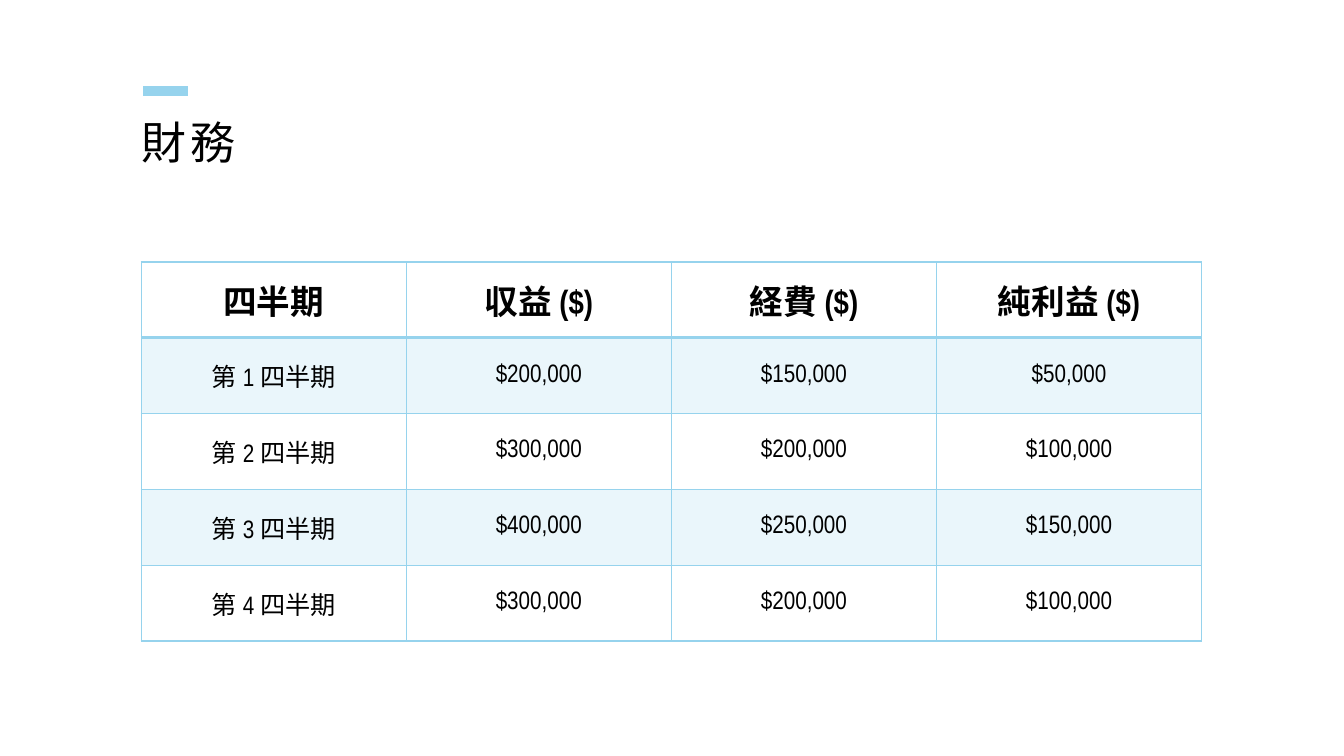
import pptx
import pptx.util
import pptx.dml.color
import pptx.enum.shapes
import pptx.enum.text
import pptx.oxml
import pptx.oxml.ns
import lxml.etree

# Content
TITLE = "財務"
ROWS = [
    ("四半期", "収益 ($)", "経費 ($)", "純利益 ($)"),
    ("第 1 四半期", "$200,000", "$150,000", "$50,000"),
    ("第 2 四半期", "$300,000", "$200,000", "$100,000"),
    ("第 3 四半期", "$400,000", "$250,000", "$150,000"),
    ("第 4 四半期", "$300,000", "$200,000", "$100,000"),
]

# Formats
COLOURS = {"accent": "96D3ED", "text": "000000"}
LATIN_FONT, JAPANESE_FONT = "Arial Narrow", "Noto Sans CJK JP"
TITLE_FORMAT = {"name": JAPANESE_FONT, "size": pptx.util.Pt(32), "bold": False}
HEADER_FORMAT = {"name": LATIN_FONT, "size": pptx.util.Pt(24), "bold": True}
BODY_FORMAT = {"name": LATIN_FONT, "size": pptx.util.Pt(18), "bold": False}
BAND_OPACITY = 20

# Layout
Cm = pptx.util.Cm
LEFT = Cm(3.56)
COLUMN_WIDTH, ROW_HEIGHT = Cm(6.68), Cm(1.91)
TABLE_TOP = Cm(6.6)


def colour(name):
    return pptx.dml.color.RGBColor.from_string(COLOURS[name])


def add_text(paragraph, text, font_format):
    run = paragraph.add_run()
    run.text = text
    for attribute, value in font_format.items():
        setattr(run.font, attribute, value)
    run.font.color.rgb = colour("text")
    east_asian = lxml.etree.SubElement(run.font._element, pptx.oxml.ns.qn("a:ea"))
    east_asian.set("typeface", JAPANESE_FONT)
    return run


def add_border(cell, side, points):
    cell._tc.get_or_add_tcPr().append(pptx.oxml.parse_xml(
        f'<a:ln{side} {pptx.oxml.ns.nsdecls("a")} w="{pptx.util.Pt(points)}">'
        f'<a:solidFill><a:srgbClr val="{COLOURS["accent"]}"/></a:solidFill></a:ln{side}>'))


def fill_band(cell):
    cell.fill.solid()
    cell.fill.fore_color.rgb = colour("accent")
    for fill in cell._tc.tcPr.findall(pptx.oxml.ns.qn("a:solidFill")):
        alpha = lxml.etree.SubElement(fill[0], pptx.oxml.ns.qn("a:alpha"))
        alpha.set("val", str(BAND_OPACITY * 1000))


def add_heading(slide):
    # Accent bar
    bar = slide.shapes.add_connector(
        pptx.enum.shapes.MSO_CONNECTOR.STRAIGHT, Cm(3.61), Cm(2.29), Cm(4.75), Cm(2.29))
    bar.line.color.rgb = colour("accent")
    bar.line.width = pptx.util.Pt(7)
    lxml.etree.SubElement(bar._element.spPr, pptx.oxml.ns.qn("a:effectLst"))

    # Title
    frame = slide.shapes.add_textbox(LEFT, Cm(3.05), Cm(26.67), Cm(2.54)).text_frame
    frame_format = {"word_wrap": True, "margin_left": 0, "margin_top": 0,
                    "margin_right": 0, "margin_bottom": 0}
    for attribute, value in frame_format.items():
        setattr(frame, attribute, value)
    frame.paragraphs[0].line_spacing = 0.9
    run = add_text(frame.paragraphs[0], TITLE, TITLE_FORMAT)
    run.font._element.set("spc", "300")


def add_finance_table(slide):
    row_count, column_count = len(ROWS), len(ROWS[0])
    table = slide.shapes.add_table(
        row_count, column_count, LEFT, TABLE_TOP,
        COLUMN_WIDTH * column_count, ROW_HEIGHT * row_count).table
    table.first_row = table.horz_banding = False
    for column in table.columns:
        column.width = COLUMN_WIDTH
    for row_index, values in enumerate(ROWS):
        is_header = row_index == 0
        table.rows[row_index].height = ROW_HEIGHT
        for column_index, text in enumerate(values):
            cell = table.cell(row_index, column_index)
            cell.vertical_anchor = pptx.enum.text.MSO_ANCHOR.MIDDLE
            paragraph = cell.text_frame.paragraphs[0]
            paragraph.alignment = pptx.enum.text.PP_ALIGN.CENTER
            add_text(paragraph, text, HEADER_FORMAT if is_header else BODY_FORMAT)
            for side in "LRTB":
                add_border(cell, side, 2 if is_header and side == "B" else 1)
            if row_index % 2:
                fill_band(cell)
            else:
                cell.fill.background()


def main():
    presentation = pptx.Presentation()
    presentation.slide_width, presentation.slide_height = Cm(33.87), Cm(19.05)
    slide = presentation.slides.add_slide(presentation.slide_layouts[6])
    add_heading(slide)
    add_finance_table(slide)
    presentation.save("out.pptx")


if __name__ == "__main__":
    main()
